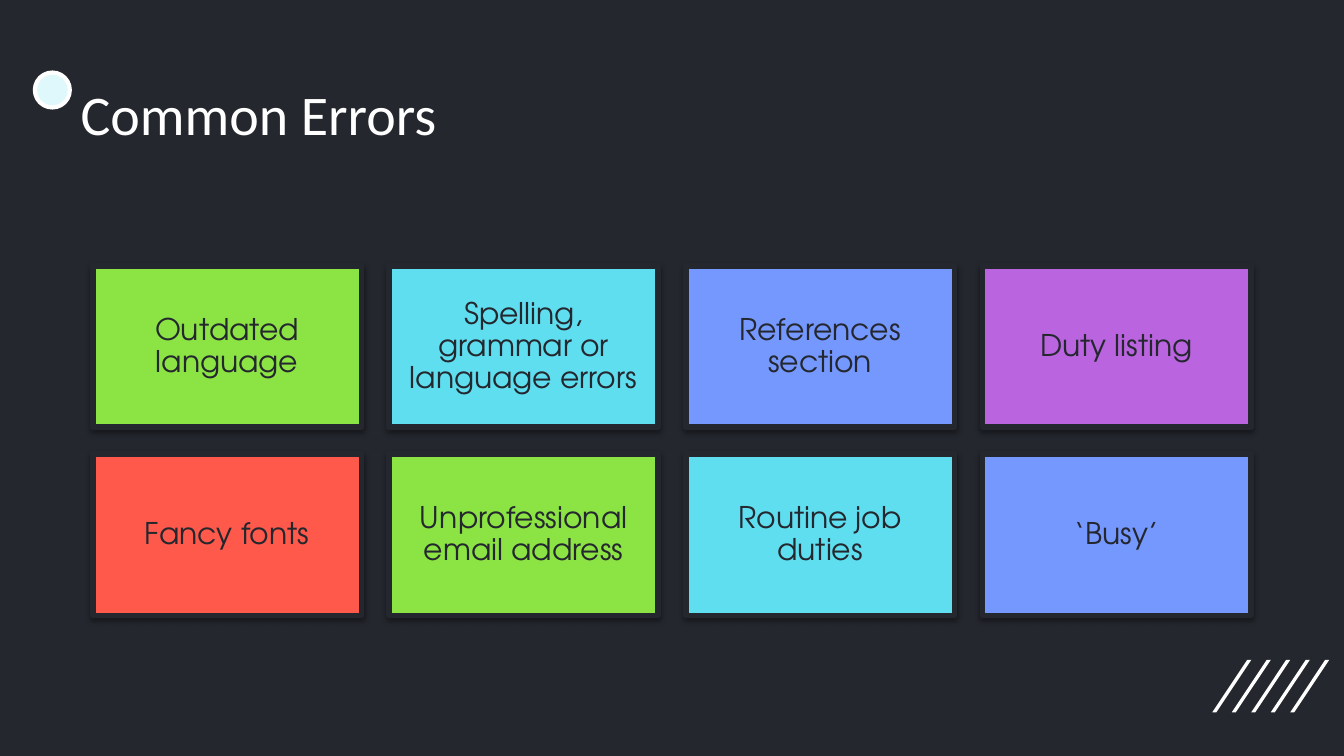
from lxml import etree
from pptx import Presentation
from pptx import util as u
from pptx.dml.color import RGBColor
from pptx.enum import shapes, text
from pptx.oxml.ns import qn

DARK, WHITE = "24272E", "FFFFFF"
GREEN, CYAN, BLUE, PURPLE, RED = "8CE444", "5FDEF0", "7598FF", "BA64E0", "FF594C"
CARDS = [
    ("Outdated language", GREEN),
    ("Spelling, grammar or language errors", CYAN),
    ("References section", BLUE),
    ("Duty listing", PURPLE),
    ("Fancy fonts", RED),
    ("Unprofessional email address", GREEN),
    ("Routine job duties", CYAN),
    ("‘Busy’", BLUE),
]
COLS = 4


def paint(fill, color):
    fill.solid()
    fill.fore_color.rgb = RGBColor.from_string(color)


def add_form(slide, kind, box, color, edge, width):
    form = slide.shapes.add_shape(kind, *map(u.Inches, box))
    paint(form.fill, color)
    paint(form.line.fill, edge)
    form.line.width = u.Pt(width)
    form.shadow.inherit = False
    return form


def add_shade(form):
    # Soft shadow straight below the form
    effects = form._element.spPr.find(qn("a:effectLst"))
    shade = etree.SubElement(
        effects, qn("a:outerShdw"), blurRad=str(u.Pt(3.1)),
        dist=str(u.Pt(1.6)), dir="5400000", rotWithShape="0")
    color = etree.SubElement(shade, qn("a:srgbClr"), val="000000")
    etree.SubElement(color, qn("a:alpha"), val="38000")


def set_text(form, words, font, size, color, align, inset):
    frame = form.text_frame
    frame.text = words
    frame.word_wrap = True
    frame.margin_left = frame.margin_right = u.Inches(inset)
    frame.margin_top = frame.margin_bottom = u.Inches(inset)
    line = frame.paragraphs[0]
    line.alignment = align
    line.line_spacing = 0.9
    for run in line.runs:
        run.font.name = font
        run.font.size = u.Pt(size)
        run.font.color.rgb = RGBColor.from_string(color)


def add_title(slide, words):
    box = slide.shapes.add_textbox(*map(u.Inches, (0.6, 0.65, 6.74, 0.43)))
    set_text(box, words, "Calibri", 30, WHITE, text.PP_ALIGN.LEFT, 0)


def add_card(slide, index, words, color):
    row, col = divmod(index, COLS)
    box = (0.69 + col * 6.62 / 3, 1.98 + row * 1.4, 2, 1.2)
    card = add_form(slide, shapes.MSO_SHAPE.RECTANGLE, box, color, DARK, 3)
    add_shade(card)
    set_text(card, words, "TeX Gyre Adventor", 16, DARK,
             text.PP_ALIGN.CENTER, 0.07)
    card.text_frame.vertical_anchor = text.MSO_ANCHOR.MIDDLE


def add_slash(slide, left):
    top, base = 4.91, 5.3
    pen = slide.shapes.build_freeform(
        u.Inches(left + 0.03), u.Inches(base), scale=1.0)
    ends = [(left, base), (left + 0.26, top), (left + 0.29, top)]
    pen.add_line_segments([(u.Inches(x), u.Inches(y)) for x, y in ends])
    slash = pen.convert_to_shape()
    paint(slash.fill, WHITE)
    slash.line.fill.background()
    slash.shadow.inherit = False


def main():
    # Wide 16:9 slide
    deck = Presentation()
    deck.slide_width, deck.slide_height = u.Inches(10), u.Inches(10 * 9 / 16)
    slide = deck.slides.add_slide(deck.slide_layouts[6])
    paint(slide.background.fill, DARK)

    # Corner slashes and dot
    for i in range(5):
        add_slash(slide, 9.02 + i * 0.58 / 4)
    add_form(slide, shapes.MSO_SHAPE.OVAL, (0.26, 0.54, 0.26, 0.26),
             "DFF8FC", WHITE, 2.25)

    # Title and grid of errors
    add_title(slide, "Common Errors")
    for i, (words, color) in enumerate(CARDS):
        add_card(slide, i, words, color)

    deck.save("out.pptx")


if __name__ == "__main__":
    main()
